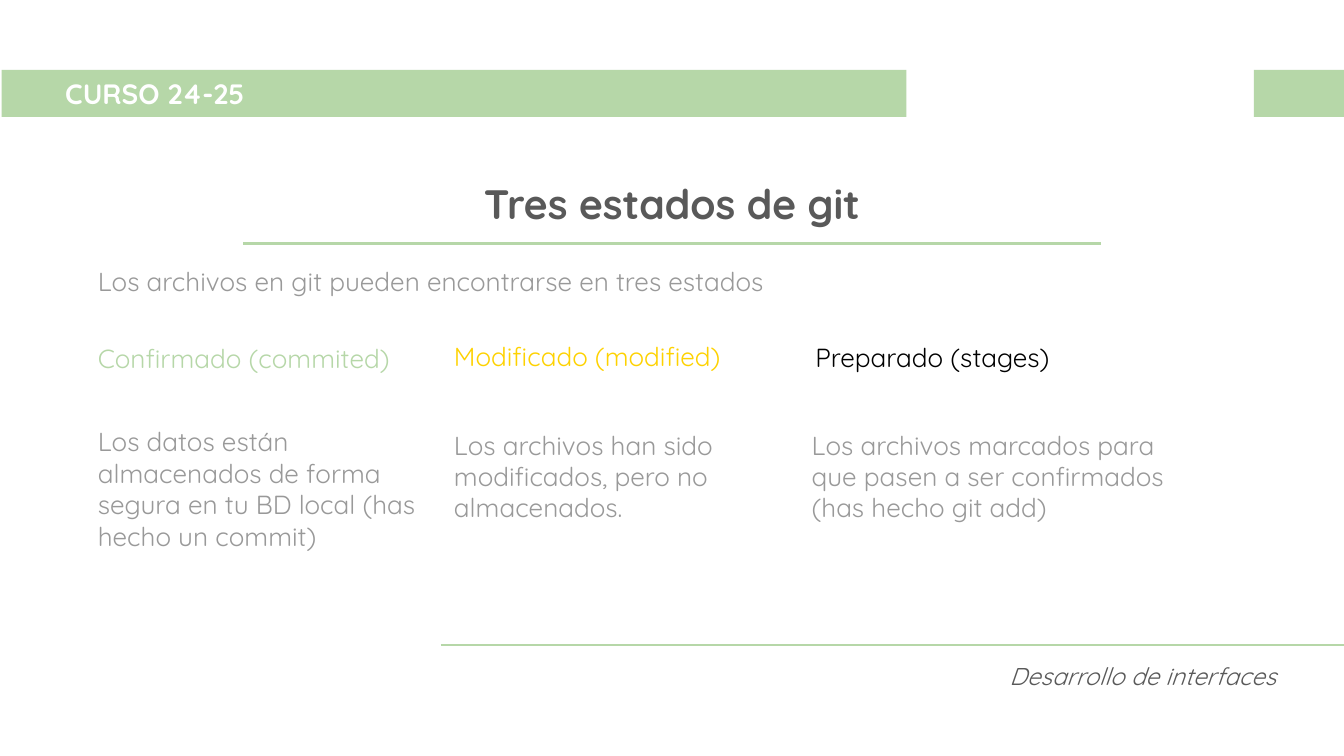
import pptx
import pptx.dml.color
import pptx.enum.shapes
import pptx.enum.text
import pptx.oxml.ns
import pptx.util
from lxml import etree

Cm = pptx.util.Cm
Pt = pptx.util.Pt
ALIGN = pptx.enum.text.PP_ALIGN

FONT = "Quicksand"
COLORS = {
    "green": "B6D7A8",
    "yellow": "FED200",
    "black": "000000",
    "white": "FFFFFF",
    "dark": "595959",
    "grey": "999999",
}
SLIDE_WIDTH, SLIDE_HEIGHT = 25.4, 14.29

# heading, heading colour, heading box, description, description box
STATES = [
    ("Confirmado (commited)", "green", (1.6, 6.35, 6.5, 0.86),
     "Los datos están almacenados de forma segura en tu BD local (has hecho un commit)",
     (1.6, 7.92, 7.34, 2.64)),
    ("Modificado (modified)", "yellow", (8.33, 6.3, 6.5, 0.86),
     "Los archivos han sido modificados, pero no almacenados.",
     (8.33, 7.98, 7.34, 2.06)),
    ("Preparado (stages)", "black", (15.16, 6.32, 5.92, 0.86),
     "Los archivos marcados para que pasen a ser confirmados (has hecho git add)",
     (15.09, 7.98, 7.34, 2.64)),
]


def rgb(color):
    return pptx.dml.color.RGBColor.from_string(COLORS[color])


def add_text(slide, box, text, color, size=14, align=ALIGN.LEFT,
             bold=False, italic=False, inset=0.25, inset_y=0.13):
    frame = slide.shapes.add_textbox(*map(Cm, box)).text_frame
    frame.word_wrap = True
    frame.margin_left = frame.margin_right = Cm(inset)
    frame.margin_top = frame.margin_bottom = Cm(inset_y)
    frame.text = text
    paragraph = frame.paragraphs[0]
    paragraph.alignment = align
    font = paragraph.runs[0].font
    font.name, font.size, font.bold, font.italic = FONT, Pt(size), bold, italic
    font.color.rgb = rgb(color)


def add_bar(slide, box):
    bar = slide.shapes.add_shape(
        pptx.enum.shapes.MSO_SHAPE.RECTANGLE, *map(Cm, box))
    bar.shadow.inherit = False
    bar.fill.solid()
    bar.fill.fore_color.rgb = rgb("green")
    bar.line.fill.background()


def add_rule(slide, left, right, top):
    rule = slide.shapes.add_connector(
        pptx.enum.shapes.MSO_CONNECTOR.STRAIGHT,
        Cm(left), Cm(top), Cm(right), Cm(top))
    rule.line.color.rgb = rgb("green")
    rule.line.width = Pt(1.5)
    etree.SubElement(rule._element.spPr, pptx.oxml.ns.qn("a:effectLst"))


def add_header(slide, left, top, width, height):
    """Place the course band: a long bar, a gap, and a short bar at the right."""
    short_bar = 1.7
    add_bar(slide, (left, top, 17.1, height))
    add_bar(slide, (left + width - short_bar, top, short_bar, height))
    add_text(slide, (left + 0.55, top - 0.13, 4.7, 1.32), "CURSO 24-25", "white",
             size=15, align=ALIGN.CENTER, bold=True, inset_y=0.25)


def add_title(slide, left, top, width, height):
    add_text(slide, (left, top, width, height), "Tres estados de git", "dark",
             size=22, align=ALIGN.CENTER, bold=True, inset_y=0.25)
    add_rule(slide, left - 0.5, left + width + 0.5, top + height + 0.16)


def add_states(slide, intro_box):
    add_text(slide, intro_box,
             "Los archivos en git pueden encontrarse en tres estados", "grey")
    for heading, color, heading_box, description, description_box in STATES:
        add_text(slide, heading_box, heading, color)
        add_text(slide, description_box, description, "grey")


def add_footer(slide, left, top, width, height):
    add_rule(slide, left, left + width, top)
    add_text(slide, (left + 4.22, top + 0.05, 11.81, height),
             "Desarrollo de interfaces", "dark", size=13,
             align=ALIGN.RIGHT, italic=True, inset_y=0.25)


def main():
    presentation = pptx.Presentation()
    presentation.slide_width = Cm(SLIDE_WIDTH)
    presentation.slide_height = Cm(SLIDE_HEIGHT)
    slide = presentation.slides.add_slide(presentation.slide_layouts[6])
    add_header(slide, 0.03, 1.32, SLIDE_WIDTH - 0.03, 0.89)
    add_title(slide, 5.1, 3.12, 15.2, 1.32)
    add_states(slide, (1.6, 4.88, 20.3, 1.45))
    add_footer(slide, 8.33, 12.19, SLIDE_WIDTH - 8.33, 1.73)
    presentation.save("out.pptx")


if __name__ == "__main__":
    main()
